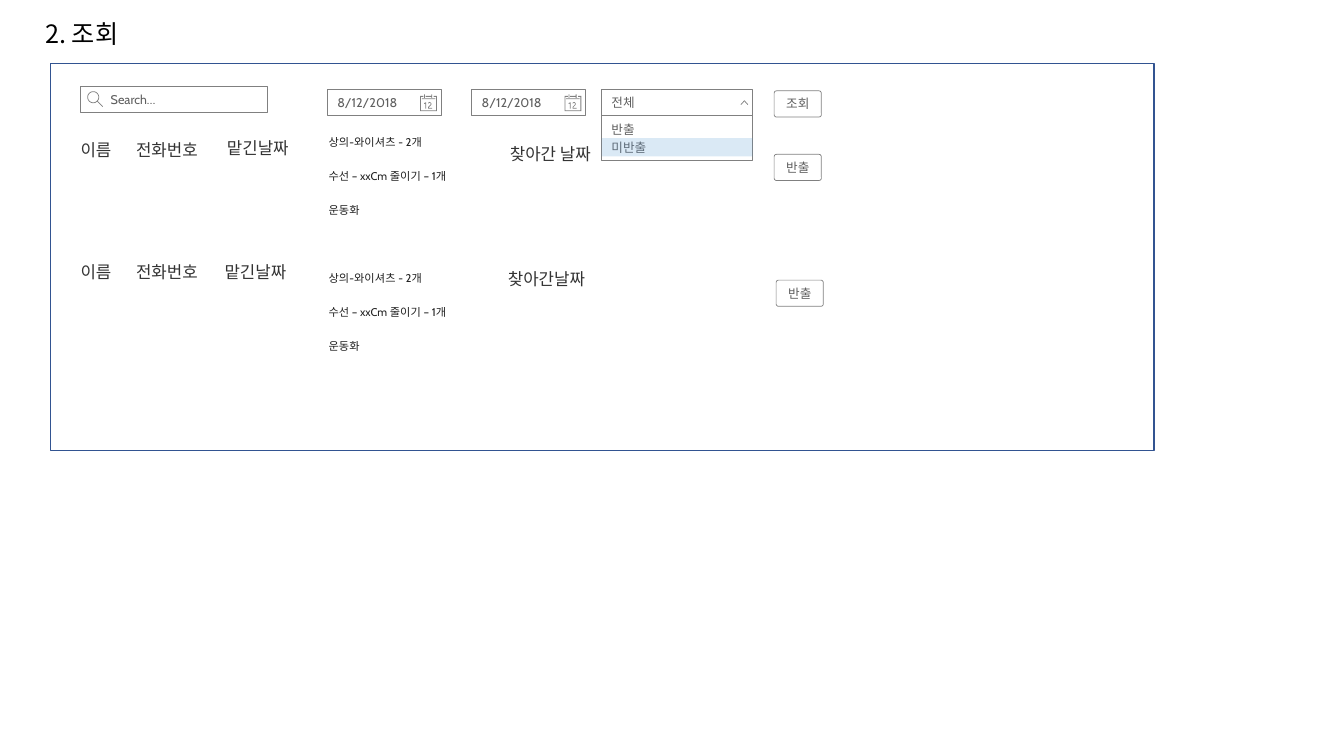
from dataclasses import dataclass
from math import cos, pi, sin
from typing import Optional

from lxml.etree import SubElement
from pptx import Presentation
from pptx.dml.color import RGBColor as Rgb
from pptx.enum.shapes import MSO_SHAPE as Kind
from pptx.enum.text import MSO_ANCHOR as Anchor, MSO_AUTO_SIZE as Auto, PP_ALIGN as Align
from pptx.oxml.ns import qn
from pptx.util import Cm, Pt

Point = tuple[float, float]
GREY, DARK, TEXT, WHITE = "808080", "333333", "5F5F5F", "FFFFFF"
ZERO = (0, 0, 0, 0)


@dataclass
class Style:
    size: float = 9
    color: str = TEXT
    alpha: int = 100
    font: str = "Cabin"
    pad: tuple[float, ...] = (0.25, 0.13, 0.25, 0.13)
    anchor: Anchor = Anchor.MIDDLE
    align: Align = Align.LEFT
    before: float = 0
    after: float = 0
    wrap: bool = True


@dataclass
class Box:
    x: float
    y: float
    w: float
    h: float
    lines: tuple[str, ...] = ()
    style: Optional[Style] = None
    fill: Optional[str] = WHITE
    alpha: int = 100
    line: Optional[str] = GREY
    width: float = 0.5
    kind: Kind = Kind.RECTANGLE


@dataclass
class Label:
    text: str
    x: float
    y: float
    w: float


@dataclass
class Entry:
    top: float
    labels: tuple[Label, ...]
    button: Point


def paint(fill, host, color: str, alpha: int = 100) -> None:
    fill.solid()
    fill.fore_color.rgb = Rgb.from_string(color)
    if alpha < 100:
        node = next(host.iter(qn("a:srgbClr")))
        SubElement(node, qn("a:alpha")).set("val", str(alpha * 1000))


def write(frame, lines: tuple[str, ...], style: Style) -> None:
    frame.auto_size = Auto.NONE
    frame.word_wrap = style.wrap
    frame.vertical_anchor = style.anchor
    frame.margin_left, frame.margin_top, frame.margin_right, frame.margin_bottom = map(Cm, style.pad)
    for num, line in enumerate(lines):
        para = frame.add_paragraph() if num else frame.paragraphs[0]
        para.alignment = style.align
        para.space_before, para.space_after = Pt(style.before), Pt(style.after)
        run = para.add_run()
        run.text = line
        run.font.size, run.font.name = Pt(style.size), style.font
        props = run._r.get_or_add_rPr()
        paint(run.font.fill, props, style.color, style.alpha)
        east = SubElement(props, qn("a:ea"))
        east.set("typeface", style.font)
        props.find(qn("a:latin")).addnext(east)


def dress(shape, fill: Optional[str], line: Optional[str], width: float = 0.5, alpha: int = 100) -> None:
    shape.shadow.inherit = False
    if fill:
        paint(shape.fill, shape.element.spPr, fill, alpha)
    else:
        shape.fill.background()
    if line:
        shape.line.color.rgb = Rgb.from_string(line)
        shape.line.width = Pt(width)
    else:
        shape.line.fill.background()


def draw(shapes, box: Box) -> None:
    shape = shapes.add_shape(box.kind, Cm(box.x), Cm(box.y), Cm(box.w), Cm(box.h))
    if box.kind == Kind.ROUNDED_RECTANGLE:
        shape.adjustments[0] = 0.09
    dress(shape, box.fill, box.line, box.width, box.alpha)
    if box.style:
        write(shape.text_frame, box.lines, box.style)


def trace(shapes, x: float, y: float, paths: list[list[Point]], shut: list[bool],
          fill: Optional[str], line: Optional[str]) -> None:
    pen = None
    for path, close in zip(paths, shut):
        dots = [((x + a) * 1000, (y + b) * 1000) for a, b in path]
        if pen is None:
            pen = shapes.build_freeform(*dots[0], scale=Cm(0.001))
        else:
            pen.move_to(*dots[0])
        pen.add_line_segments(dots[1:], close=close)
    dress(pen.convert_to_shape(), fill, line)


def block(x: float, y: float, w: float, h: float) -> list[Point]:
    return [(x, y), (x, y + h), (x + w, y + h), (x + w, y)]


def label(shapes, item: Label) -> None:
    box = shapes.add_textbox(Cm(item.x), Cm(item.y), Cm(item.w), Cm(0.51))
    write(box.text_frame, (item.text,), NAME)


def button(shapes, text: str, x: float, y: float) -> None:
    draw(shapes, Box(x, y, 1.19, 0.66, (text,), PRESS, kind=Kind.ROUNDED_RECTANGLE))


NAME = Style(12, DARK, pad=ZERO, anchor=Anchor.TOP)
PRESS = Style(align=Align.CENTER, wrap=False)
NOTE = Style(8, "000000", 87, pad=(0.25, 0.36, 0.25, 0.43), anchor=Anchor.TOP, before=7.3, after=7.3)
HEAD = Style(18, "000000", font="Noto Sans CJK KR")
SEARCH = Style(pad=(0.76, 0.15, 0.25, 0.15))
DATE = Style(pad=(0.25, 0.15, 0.64, 0.15))
PICK = Style(pad=(0.25, 0.15, 0.71, 0.15))
MENU = Style(pad=(0.25, 0.15, 0.25, 0.15), anchor=Anchor.TOP, after=2)

GOODS = ("상의-와이셔츠 - 2개", "수선 – xxCm 줄이기 – 1개", "운동화")
ENTRIES = (
    Entry(3.05, (Label("이름", 2.03, 3.51, 1.07), Label("전화번호", 3.43, 3.51, 1.93),
                 Label("맡긴날짜", 5.72, 3.48, 1.8), Label("찾아간 날짜", 12.85, 3.63, 2.34)),
          (19.51, 3.89)),
    Entry(6.48, (Label("이름", 2.03, 6.6, 1.07), Label("전화번호", 3.43, 6.6, 1.93),
                 Label("맡긴날짜", 5.66, 6.6, 1.8), Label("찾아간날짜", 12.8, 6.78, 2.39)),
          (19.56, 7.06)),
)
RING = [(0.14 + 0.14 * cos(k * pi / 18), 0.14 + 0.14 * sin(k * pi / 18)) for k in range(36)]
LENS = [[(0.24, 0.24), (0.38, 0.38)], RING]
PAGE = [
    block(0.1, 0, 0.02, 0.09), block(0.28, 0, 0.02, 0.09),
    [(0, 0.04), (0, 0.42), (0.42, 0.42), (0.42, 0.04), (0.34, 0.04), (0.34, 0.06), (0.4, 0.06),
     (0.4, 0.4), (0.02, 0.4), (0.02, 0.06), (0.08, 0.06), (0.08, 0.04)],
    block(0.14, 0.04, 0.14, 0.02), block(0.04, 0.1, 0.34, 0.02),
    [(0.14, 0.2), (0.1, 0.22), (0.1, 0.24), (0.13, 0.23), (0.13, 0.36), (0.15, 0.36), (0.15, 0.2)],
    [(0.2, 0.21), (0.24, 0.19), (0.28, 0.22), (0.28, 0.26), (0.22, 0.32), (0.22, 0.34), (0.3, 0.34),
     (0.3, 0.36), (0.2, 0.36), (0.2, 0.32), (0.26, 0.26), (0.26, 0.22), (0.24, 0.21), (0.2, 0.23)],
]
ARROW = [[(0, 0.1), (0.09, 0), (0.18, 0.1)]]


def main() -> None:
    deck = Presentation()
    deck.slide_width, deck.slide_height = Cm(33.87), Cm(19.05)
    slide = deck.slides.add_slide(deck.slide_layouts[5])
    shapes = slide.shapes

    title = shapes.title
    title.left, title.top, title.width, title.height = Cm(0.89), Cm(0.33), Cm(5.97), Cm(1.02)
    write(title.text_frame, ("2. 조회",), HEAD)

    draw(shapes, Box(1.27, 1.6, 27.81, 9.75, fill=None, line="325491", width=1))
    draw(shapes, Box(2.03, 2.18, 4.7, 0.66, ("Search…",), SEARCH))
    trace(shapes, 2.21, 2.31, LENS, [False, True], WHITE, GREY)

    for entry in ENTRIES:
        draw(shapes, Box(8.03, entry.top, 6.35, 2.82, GOODS, NOTE, line=None))
        button(shapes, "반출", *entry.button)

    for x in (8.25, 11.89):
        draw(shapes, Box(x, 2.26, 2.87, 0.66, ("8/12/2018",), DATE))
        trace(shapes, x + 2.34, 2.38, PAGE, [True] * len(PAGE), GREY, None)
    button(shapes, "조회", 19.51, 2.29)

    draw(shapes, Box(15.16, 2.26, 3.81, 0.66, ("전체",), PICK))
    trace(shapes, 18.67, 2.54, ARROW, [False], None, GREY)
    draw(shapes, Box(15.16, 2.92, 3.81, 1.12, ("반출", "미반출"), MENU))
    draw(shapes, Box(15.16, 3.48, 3.81, 0.46, fill="5B9BD5", alpha=22, line=None))

    for entry in ENTRIES:
        for item in entry.labels:
            label(shapes, item)

    deck.save("out.pptx")


if __name__ == "__main__":
    main()
